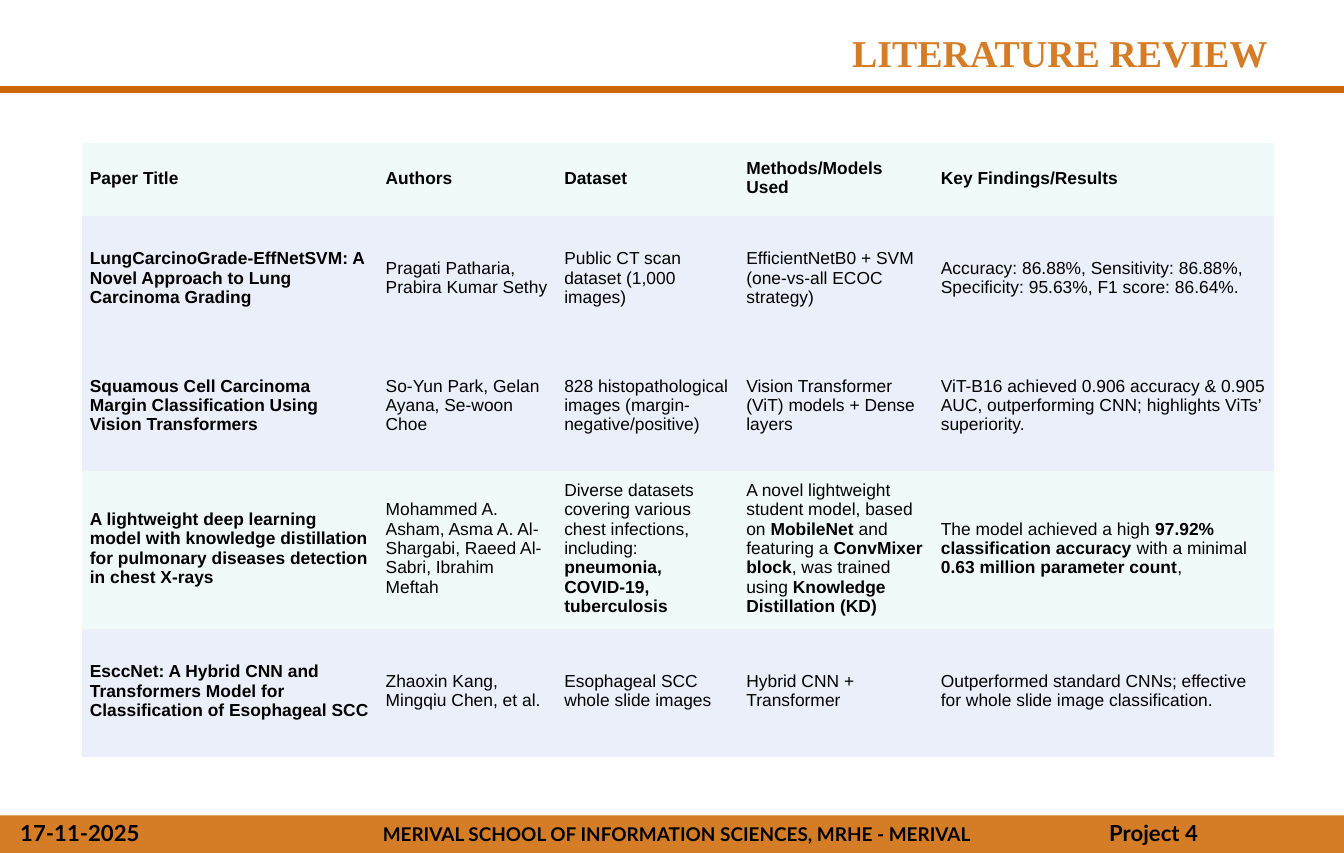
from lxml import etree
from pptx import Presentation
from pptx.dml.color import RGBColor
from pptx.enum.shapes import MSO_CONNECTOR, MSO_SHAPE
from pptx.enum.text import MSO_ANCHOR, PP_ALIGN
from pptx.oxml.ns import qn
from pptx.util import Inches, Pt

RECT = MSO_SHAPE.RECTANGLE
LINE = MSO_CONNECTOR.STRAIGHT
MIDDLE = MSO_ANCHOR.MIDDLE
LEFT, CENTER = PP_ALIGN.LEFT, PP_ALIGN.CENTER

WIDTH, HEIGHT = 189 / 16, 7.5
BLACK, RUST, ORANGE = "000000", "CC6600", "D47D26"
MINT, BLUE = "F0FAF9", "EBEFF9"
NO_GRID = "{2D5ABB26-0587-4C30-8999-92F81FD0307C}"

COLS = [2.6, 1.57, 1.6, 1.71, 3]
ROWS = [0.64, 1.12, 1.12, 1.39, 1.12]
FILLS = [MINT, BLUE, BLUE, MINT, BLUE]
PAPERS = [
    ["**Paper Title**", "**Authors**", "**Dataset**",
     "**Methods/Models Used**", "**Key Findings/Results**"],
    ["**LungCarcinoGrade-EffNetSVM: A Novel Approach to Lung Carcinoma Grading**",
     "Pragati Patharia, Prabira Kumar Sethy",
     "Public CT scan dataset (1,000 images)",
     "EfficientNetB0 + SVM (one-vs-all ECOC strategy)",
     "Accuracy: 86.88%, Sensitivity: 86.88%, Specificity: 95.63%, F1 score: 86.64%."],
    ["**Squamous Cell Carcinoma Margin Classification Using Vision Transformers**",
     "So-Yun Park, Gelan Ayana, Se-woon Choe",
     "828 histopathological images (margin-negative/positive)",
     "Vision Transformer (ViT) models + Dense layers",
     "ViT-B16 achieved 0.906 accuracy & 0.905 AUC, outperforming CNN; "
     "highlights ViTs’ superiority."],
    ["**A lightweight deep learning model with knowledge distillation "
     "for pulmonary diseases detection in chest X-rays**",
     "Mohammed A. Asham, Asma A. Al-Shargabi, Raeed Al-Sabri, Ibrahim Meftah",
     "Diverse datasets covering various chest infections, including: "
     "**pneumonia, COVID-19, tuberculosis**",
     "A novel lightweight student model, based on **MobileNet** and featuring a "
     "**ConvMixer block**, was trained using **Knowledge Distillation (KD)**",
     "The model achieved a high **97.92% classification accuracy** with a minimal "
     "**0.63 million parameter count**,"],
    ["**EsccNet: A Hybrid CNN and Transformers Model for "
     "Classification of Esophageal SCC**",
     "Zhaoxin Kang, Mingqiu Chen, et al.",
     "Esophageal SCC whole slide images",
     "Hybrid CNN + Transformer",
     "Outperformed standard CNNs; effective for whole slide image classification."],
]


def paint(hue):
    """Turn a hex string into a colour."""
    return RGBColor.from_string(hue)


def style(run, face, size, hue, bold):
    """Format one run."""
    font = run.font
    font.name, font.size, font.bold = face, Pt(size), bold
    font.color.rgb = paint(hue)


def label(slide, box, text, face, size, hue, align=LEFT):
    """Place one line of bold text in a box."""
    frame = slide.shapes.add_textbox(*map(Inches, box)).text_frame
    frame.word_wrap = True
    para = frame.paragraphs[0]
    para.text, para.alignment = text, align
    style(para.runs[0], face, size, hue, True)


def header(slide, box):
    """Draw the title above a full-width rule."""
    left, top, width, height = box
    base = Inches(top + height)
    rule = slide.shapes.add_connector(LINE, Inches(left), base, Inches(left + width), base)
    rule.line.color.rgb = paint(RUST)
    rule.line.width = Pt(4.5)
    etree.SubElement(rule._element.spPr, qn("a:effectLst"))
    label(slide, (left + 6.84, top + 0.21, 4.95, 0.5), "LITERATURE REVIEW",
          "Times New Roman", 24, ORANGE, CENTER)


def footer(slide, box):
    """Draw the bottom band with date, school and page."""
    left, top, width, height = box
    band = slide.shapes.add_shape(RECT, *map(Inches, box))
    band.shadow.inherit = False
    band.fill.solid()
    band.fill.fore_color.rgb = paint(ORANGE)
    band.line.fill.background()
    label(slide, (left + 2.85, top + 0.01, 6.2, 0.31),
          "MERIVAL SCHOOL OF INFORMATION SCIENCES, MRHE - MERIVAL",
          "Lato", 12, BLACK, CENTER)
    for shift, span, text in ((0.08, 1.33, "17-11-2025"), (9.65, 2.15, "Project 4")):
        label(slide, (left + shift, top - 0.01, span, height + 0.01), text, "Lato", 14, BLACK)


def fill_cell(cell, text, hue):
    """Write a cell, with bold between double stars."""
    cell.fill.solid()
    cell.fill.fore_color.rgb = paint(hue)
    cell.vertical_anchor = MIDDLE
    cell.margin_left = cell.margin_right = cell.margin_bottom = Inches(0.07)
    cell.margin_top = Inches(0.04)
    para = cell.text_frame.paragraphs[0]
    for i, part in enumerate(text.split("**")):
        if part:
            run = para.add_run()
            run.text = part
            style(run, "Arial", 11, BLACK, i % 2 == 1)


def review(slide, box):
    """Build the table of papers."""
    table = slide.shapes.add_table(len(ROWS), len(COLS), *map(Inches, box)).table
    table.first_row = table.horz_banding = False
    table._tbl.tblPr.find(qn("a:tableStyleId")).text = NO_GRID
    for col, width in zip(table.columns, COLS):
        col.width = Inches(width)
    for row, height, paper, hue in zip(table.rows, ROWS, PAPERS, FILLS):
        row.height = Inches(height)
        for cell, text in zip(row.cells, paper):
            fill_cell(cell, text, hue)


def main():
    """Build and save the slide."""
    deck = Presentation()
    deck.slide_width, deck.slide_height = Inches(WIDTH), Inches(HEIGHT)
    slide = deck.slides.add_slide(deck.slide_layouts[6])
    header(slide, (0, 0, WIDTH, 0.79))
    footer(slide, (0, 7.17, WIDTH, 0.33))
    review(slide, (0.72, 1.26, sum(COLS), sum(ROWS)))
    deck.save("out.pptx")


if __name__ == "__main__":
    main()
